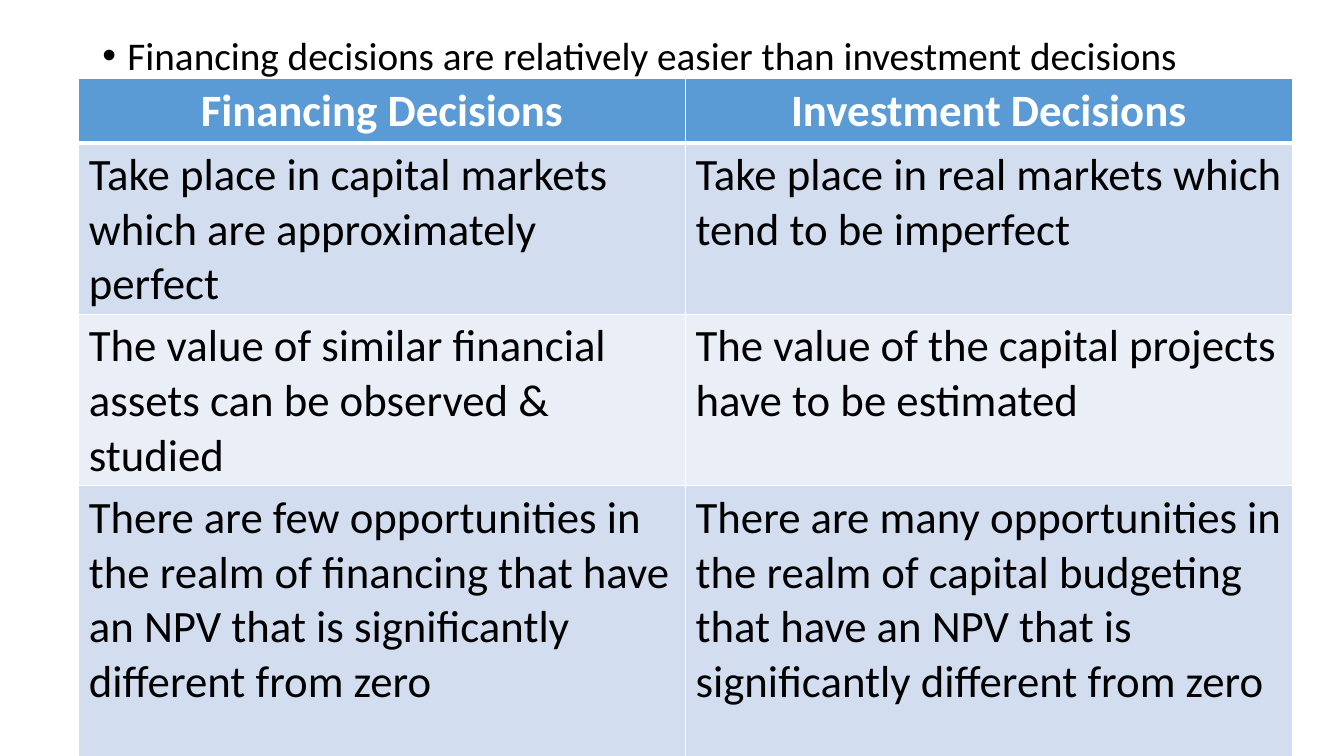
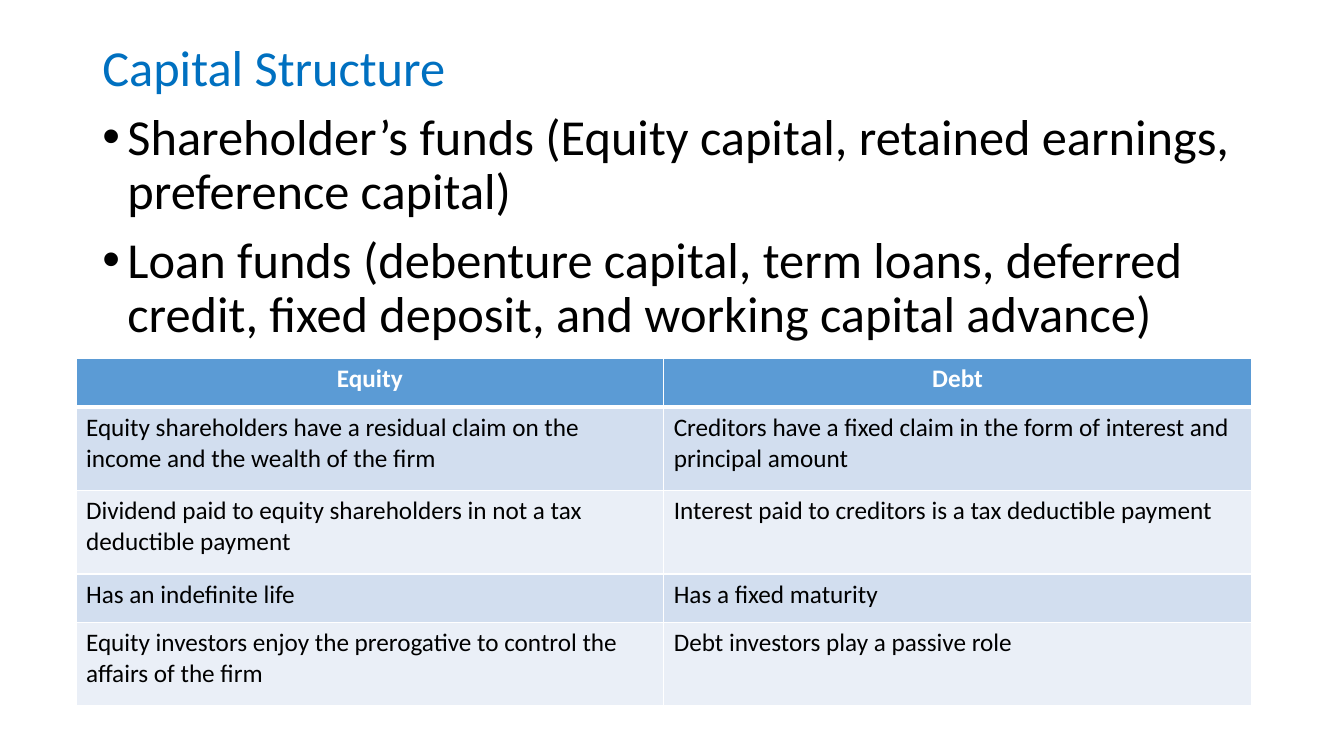
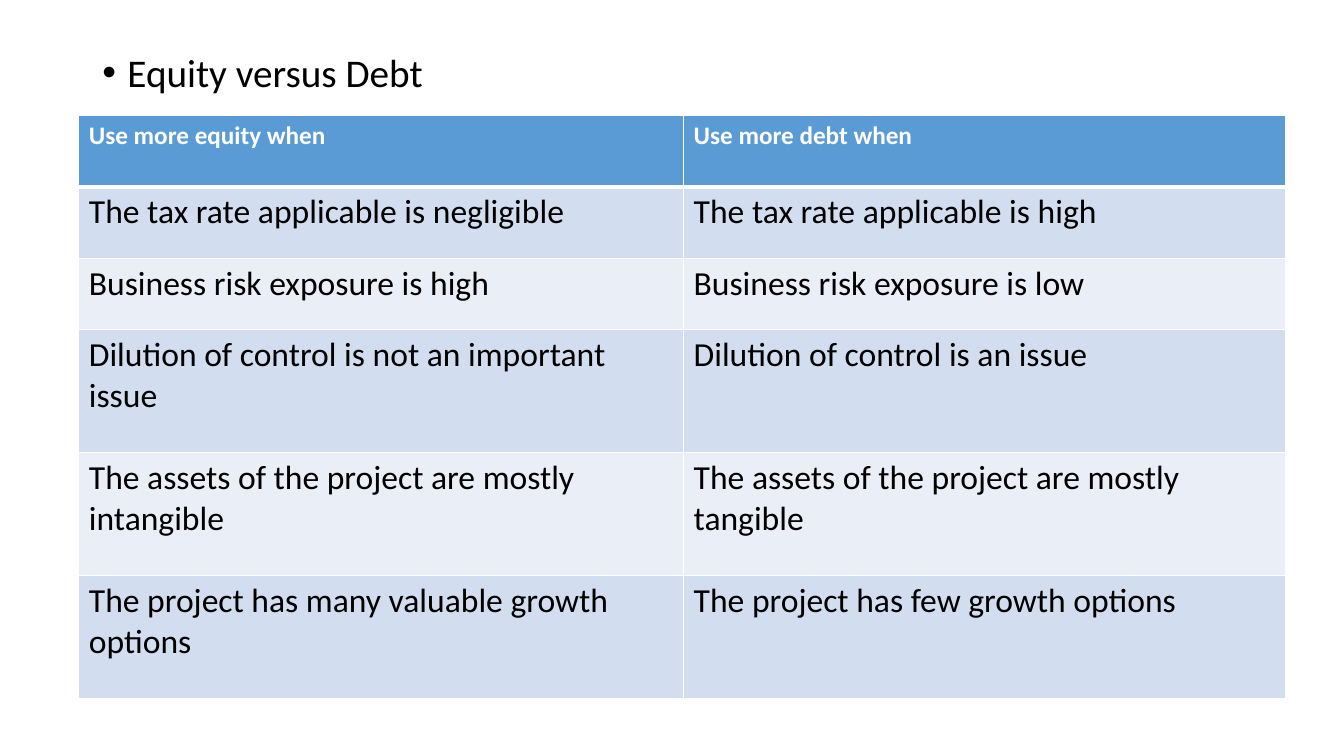
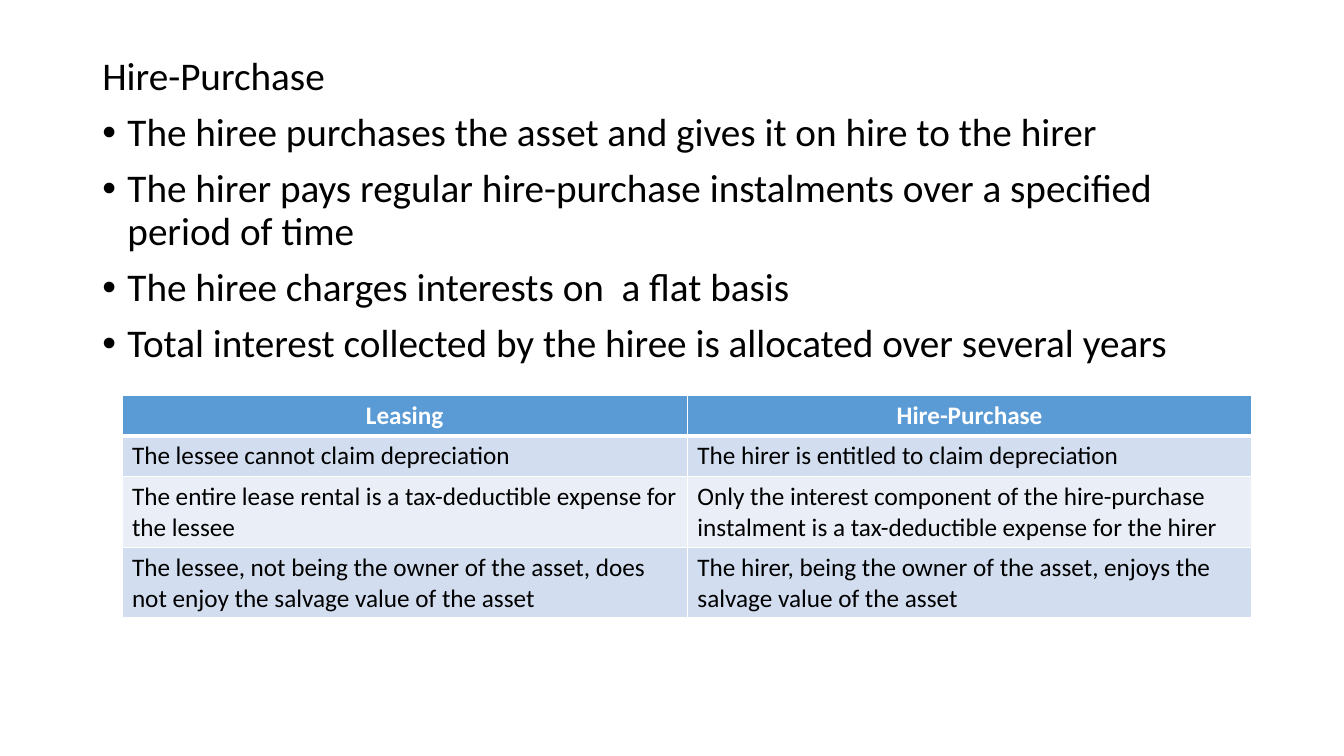
from dataclasses import dataclass

from lxml.etree import SubElement
from pptx import Presentation
from pptx.dml.color import RGBColor
from pptx.enum.text import MSO_ANCHOR, PP_ALIGN
from pptx.oxml import parse_xml
from pptx.oxml.ns import nsdecls, qn
from pptx.slide import Slide
from pptx.table import _Cell as Cell
from pptx.text.text import _Paragraph as Paragraph
from pptx.util import Pt

FONT = "Calibri"
BLACK = RGBColor(0x00, 0x00, 0x00)
WHITE = RGBColor(0xFF, 0xFF, 0xFF)
HEADING_BLUE = RGBColor(0x00, 0x70, 0xC0)
HEADER_BLUE = RGBColor(0x5B, 0x9B, 0xD5)
BANDS = (RGBColor(0xD2, 0xDE, 0xEF), RGBColor(0xEA, 0xEF, 0xF7))

SLIDE_WIDTH, SLIDE_HEIGHT = 960, 540
BODY_LEFT, BODY_WIDTH = 66, 828
BULLET_INDENT = 18
THIN, THICK = 1, 3


@dataclass(frozen=True)
class Body:
    top: float
    height: float
    size: float
    bullets: tuple[str, ...]
    heading: str = ""
    heading_color: RGBColor = BLACK


@dataclass(frozen=True)
class Comparison:
    """A two-column table; the first row is the header."""
    left: float
    top: float
    column_widths: tuple[float, float]
    row_heights: tuple[float, ...]
    rows: tuple[tuple[str, str], ...]
    header_size: float = 18
    cell_size: float = 18
    header_align: PP_ALIGN = PP_ALIGN.CENTER


@dataclass(frozen=True)
class Page:
    body: Body
    comparison: Comparison


PAGES = (
    Page(
        Body(22.3, 447, 28, (
            "Financing decisions are relatively easier than investment decisions",
        )),
        Comparison(56.3, 56.3, (433.4, 433.4), (41.8, 111.6, 111.6, 207.4), (
            ("Financing Decisions", "Investment Decisions"),
            ("Take place in capital markets which are approximately perfect",
             "Take place in real markets which tend to be imperfect"),
            ("The value of similar financial assets can be observed & studied",
             "The value of the capital projects have to be estimated"),
            ("There are few opportunities in the realm of financing that have an NPV "
             "that is significantly different from zero",
             "There are many opportunities in the realm of capital budgeting that have "
             "an NPV that is significantly different from zero"),
        ), header_size=32, cell_size=32),
    ),
    Page(
        Body(27.4, 459.4, 36, (
            "Shareholder’s funds (Equity capital, retained earnings, preference capital)",
            "Loan funds (debenture capital, term loans, deferred credit, fixed deposit, "
            "and working capital advance)",
        ), heading="Capital Structure", heading_color=HEADING_BLUE),
        Comparison(54.3, 256.3, (419.8, 419.8), (34.6, 59.6, 59.6, 34.6, 59.6), (
            ("Equity", "Debt"),
            ("Equity shareholders have a residual claim on the income and the wealth of the firm",
             "Creditors have a fixed claim in the form of interest and principal amount"),
            ("Dividend paid to equity shareholders in not a tax deductible payment",
             "Interest paid to creditors is a tax deductible payment"),
            ("Has an indefinite life", "Has a fixed maturity"),
            ("Equity investors enjoy the prerogative to control the affairs of the firm",
             "Debt investors play a passive role"),
        )),
    ),
    Page(
        Body(34.6, 451.4, 28, ("Equity versus Debt",)),
        Comparison(56.3, 82.3, (432, 429.8), (51.1,) * 3 + (87.8,) * 3, (
            ("Use more equity when", "Use more debt when"),
            ("The tax rate applicable is negligible", "The tax rate applicable is high"),
            ("Business risk exposure is high", "Business risk exposure is low"),
            ("Dilution of control is not an important issue",
             "Dilution of control is an issue"),
            ("The assets of the project are mostly intangible",
             "The assets of the project are mostly tangible"),
            ("The project has many valuable growth options",
             "The project has few growth options"),
        ), cell_size=24, header_align=PP_ALIGN.LEFT),
    ),
    Page(
        Body(36.7, 467.3, 28, (
            "The hiree purchases the asset and gives it on hire to the hirer",
            "The hirer pays regular hire-purchase instalments over a specified period of time",
            "The hiree charges interests on  a flat basis",
            "Total interest collected by the hiree is allocated over several years",
        ), heading="Hire-Purchase"),
        Comparison(87.1, 282.2, (403.9, 403.2), (29.2,) * 4, (
            ("Leasing", "Hire-Purchase"),
            ("The lessee cannot claim depreciation",
             "The hirer is entitled to claim depreciation"),
            ("The entire lease rental is a tax-deductible expense for the lessee",
             "Only the interest component of the hire-purchase instalment is a "
             "tax-deductible expense for the hirer"),
            ("The lessee, not being the owner of the asset, does not enjoy the salvage "
             "value of the asset",
             "The hirer, being the owner of the asset, enjoys the salvage value of the asset"),
        )),
    ),
)


def style_runs(paragraph: Paragraph, size: float, color: RGBColor, bold: bool = False) -> None:
    for run in paragraph.runs:
        run.font.name = FONT
        run.font.size = Pt(size)
        run.font.bold = bold
        run.font.color.rgb = color


def add_bullet(paragraph: Paragraph) -> None:
    properties = paragraph._p.get_or_add_pPr()
    properties.set("marL", str(Pt(BULLET_INDENT)))
    properties.set("indent", str(-Pt(BULLET_INDENT)))
    SubElement(properties, qn("a:buFont"), typeface="Arial")
    SubElement(properties, qn("a:buChar"), char="•")


def add_body(slide: Slide, body: Body) -> None:
    box = slide.shapes.add_textbox(Pt(BODY_LEFT), Pt(body.top), Pt(BODY_WIDTH), Pt(body.height))
    frame = box.text_frame
    frame.word_wrap = True
    heading = (body.heading,) if body.heading else ()
    frame.text = "\n".join(heading + body.bullets)
    for index, paragraph in enumerate(frame.paragraphs):
        is_heading = index < len(heading)
        if not is_heading:
            add_bullet(paragraph)
        paragraph.line_spacing = 0.9
        paragraph.space_before = Pt(10 if index else 0)
        style_runs(paragraph, body.size, body.heading_color if is_heading else BLACK)


def set_borders(cell: Cell, top: float, bottom: float) -> None:
    """Draw white cell borders; they must precede the fill in the cell properties."""
    properties = cell._tc.get_or_add_tcPr()
    widths = {"lnL": THIN, "lnR": THIN, "lnT": top, "lnB": bottom}
    for position, (side, width) in enumerate(widths.items()):
        properties.insert(position, parse_xml(
            f'<a:{side} {nsdecls("a")} w="{Pt(width)}"><a:solidFill>'
            f'<a:srgbClr val="{WHITE}"/></a:solidFill></a:{side}>'))


def add_comparison(slide: Slide, comparison: Comparison) -> None:
    widths, heights = comparison.column_widths, comparison.row_heights
    table = slide.shapes.add_table(
        len(heights), len(widths), Pt(comparison.left), Pt(comparison.top),
        Pt(sum(widths)), Pt(sum(heights))).table
    for column, width in zip(table.columns, widths):
        column.width = Pt(width)
    for index, (row, height, texts) in enumerate(zip(table.rows, heights, comparison.rows)):
        row.height = Pt(height)
        is_header = index == 0
        for cell, text in zip(row.cells, texts):
            cell.vertical_anchor = MSO_ANCHOR.TOP
            cell.fill.solid()
            cell.fill.fore_color.rgb = HEADER_BLUE if is_header else BANDS[(index - 1) % 2]
            set_borders(cell, THICK if index == 1 else THIN, THICK if is_header else THIN)
            cell.text_frame.text = text
            paragraph = cell.text_frame.paragraphs[0]
            if is_header:
                paragraph.alignment = comparison.header_align
                style_runs(paragraph, comparison.header_size, WHITE, bold=True)
            else:
                style_runs(paragraph, comparison.cell_size, BLACK)


def main() -> None:
    deck = Presentation()
    deck.slide_width, deck.slide_height = Pt(SLIDE_WIDTH), Pt(SLIDE_HEIGHT)
    blank = deck.slide_layouts[6]
    for page in PAGES:
        slide = deck.slides.add_slide(blank)
        add_body(slide, page.body)
        add_comparison(slide, page.comparison)
    deck.save("out.pptx")


if __name__ == "__main__":
    main()
